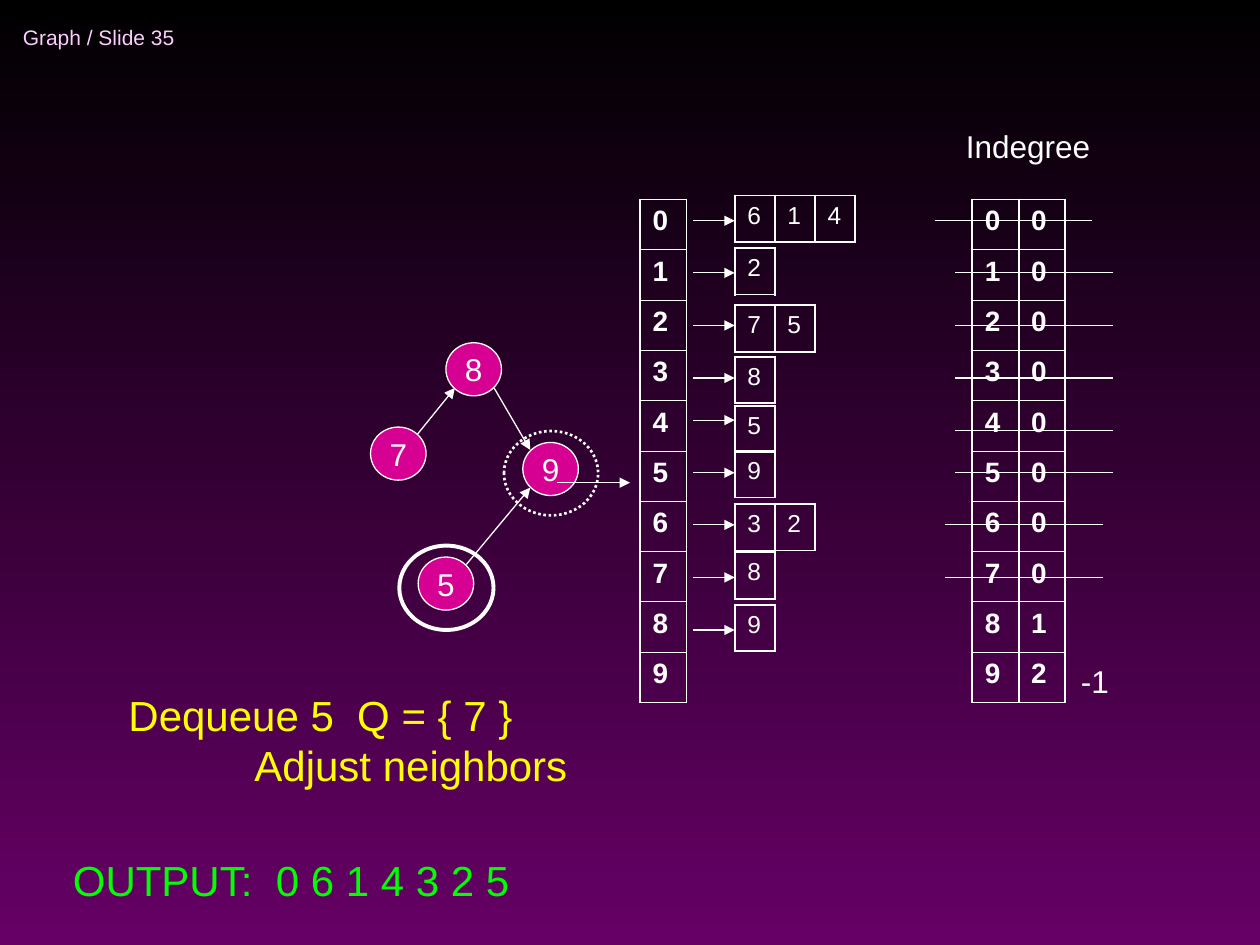
from typing import NamedTuple

from lxml.etree import SubElement
from pptx import Presentation
from pptx.dml.color import RGBColor
from pptx.enum.dml import MSO_LINE
from pptx.enum.shapes import MSO_CONNECTOR, MSO_SHAPE
from pptx.enum.text import MSO_ANCHOR, PP_ALIGN
from pptx.oxml.ns import qn
from pptx.util import Cm, Pt

WHITE = RGBColor(0xFF, 0xFF, 0xFF)
BLACK = RGBColor(0x00, 0x00, 0x00)
PURPLE = RGBColor(0x66, 0x00, 0x66)
PINK = RGBColor(0xD6, 0x00, 0x93)
PALE = RGBColor(0xFF, 0xCC, 0xFF)
YELLOW = RGBColor(0xFF, 0xFF, 0x00)
GREEN = RGBColor(0x00, 0xFF, 0x00)
FONT = "Arial"
THICK, THIN = 1.08, 0.45


class Node(NamedTuple):
    name: str
    x: float
    y: float


class Edge(NamedTuple):
    x1: float
    y1: float
    x2: float
    y2: float


class Ring(NamedTuple):
    x: float
    y: float
    width: float
    dash: MSO_LINE


class Adj(NamedTuple):
    """Neighbors of one vertex: cell values, top of the cells, height of the arrow."""
    cells: str
    top: float
    mid: float


class Strike(NamedTuple):
    x: float
    y: float


class Label(NamedTuple):
    lines: list
    box: tuple
    size: int
    color: RGBColor
    anchor: MSO_ANCHOR = MSO_ANCHOR.TOP


NODES = [Node("5", 8.43, 11.23), Node("7", 7.47, 8.61),
         Node("8", 8.99, 6.91), Node("9", 10.54, 8.92)]
EDGES = [Edge(9.4, 11.38, 10.69, 9.83), Edge(9.96, 7.82, 10.69, 9.07),
         Edge(8.41, 8.76, 9.17, 7.82)]
POINTER = Edge(11.23, 9.73, 12.7, 9.73)
RINGS = [Ring(10.16, 8.69, 1.5, MSO_LINE.ROUND_DOT),
         Ring(8.05, 11, 2.25, MSO_LINE.SOLID)]
ADJS = [Adj("614", 3.94, 4.45), Adj("2", 5, 5.5), Adj("75", 6.15, 6.56),
        Adj("8", 7.19, 7.62), Adj("5", 8.18, 8.47), Adj("9", 9.09, 9.53),
        Adj("32", 10.16, 10.58), Adj("8", 11.13, 11.64), Adj("9", 12.19, 12.7)]
STRIKES = [Strike(18.84, 4.45), Strike(19.26, 5.5), Strike(19.26, 6.56),
           Strike(19.26, 7.62), Strike(19.26, 8.68), Strike(19.26, 9.53),
           Strike(19.05, 10.58), Strike(19.05, 11.64)]
COLUMNS = [(12.9, "0123456789"), (19.6, "0123456789"), (20.53, "0000000012")]
# Each line of a label is a text and its left indent.
LABELS = [
    Label([("Graph / Slide 35", 0)], (0.21, 0.22, 6.99, 1.07), 12, PALE,
          MSO_ANCHOR.MIDDLE),
    Label([("Indegree", 0)], (19.22, 2.44, 3.2, 1.02), 18, WHITE),
    Label([("Dequeue 5  Q = { 7 }", 0), ("Adjust neighbors", 2.54)],
          (2.34, 13.77, 9.58, 3.3), 24, YELLOW),
    Label([("OUTPUT:  0 6 1 4 3 2 5", 0)], (1.22, 17.1, 10.64, 1.27), 24, GREEN),
    Label([("-1", 0)], (21.54, 13.23, 1.2, 1.02), 18, WHITE),
]


def add_run(para, text: str, size: float, color: RGBColor, bold=False) -> None:
    run = para.add_run()
    run.text = text
    font = run.font
    font.name, font.size, font.bold = FONT, Pt(size), bold
    font.color.rgb = color


def add_line(slide, edge: Edge, arrow=True) -> None:
    line = slide.shapes.add_connector(MSO_CONNECTOR.STRAIGHT, *map(Cm, edge))
    line.line.color.rgb = WHITE
    line.line.width = Pt(0.75)
    props = line.element.spPr
    if arrow:
        SubElement(props.find(qn("a:ln")), qn("a:tailEnd"), type="triangle")
    SubElement(props, qn("a:effectLst"))


def add_oval(slide, x: float, y: float, w: float, h: float, width: float):
    oval = slide.shapes.add_shape(MSO_SHAPE.OVAL, Cm(x), Cm(y), Cm(w), Cm(h))
    oval.shadow.inherit = False
    oval.line.color.rgb = WHITE
    oval.line.width = Pt(width)
    return oval


def add_node(slide, node: Node) -> None:
    oval = add_oval(slide, node.x, node.y, 1.12, 1.07, 0.75)
    oval.fill.solid()
    oval.fill.fore_color.rgb = PINK
    frame = oval.text_frame
    frame.word_wrap = False
    frame.vertical_anchor = MSO_ANCHOR.MIDDLE
    para = frame.paragraphs[0]
    para.alignment = PP_ALIGN.CENTER
    add_run(para, node.name, 18, WHITE)


def add_ring(slide, ring: Ring) -> None:
    oval = add_oval(slide, ring.x, ring.y, 1.9, 1.7, ring.width)
    oval.fill.background()
    oval.line.dash_style = ring.dash


def add_border(cell, side: str, width: float) -> None:
    props = cell._tc.get_or_add_tcPr()
    line = SubElement(props, qn(f"a:ln{side}"), w=str(Pt(width)))
    fill = SubElement(line, qn("a:solidFill"))
    SubElement(fill, qn("a:srgbClr"), val=str(WHITE))


def add_cells(slide, rows: list, box: tuple, size: int, bold=False) -> None:
    """Draw a clear table with thick outer edges and thin lines between rows."""
    table = slide.shapes.add_table(len(rows), len(rows[0]), *map(Cm, box)).table
    table.first_row = table.horz_banding = False
    last = len(rows) - 1
    for i, row in enumerate(rows):
        for j, text in enumerate(row):
            cell = table.cell(i, j)
            add_border(cell, "L", THICK)
            add_border(cell, "R", THICK)
            add_border(cell, "T", THICK if i == 0 else THIN)
            add_border(cell, "B", THICK if i == last else THIN)
            cell.fill.background()
            add_run(cell.text_frame.paragraphs[0], text, size, WHITE, bold)


def add_label(slide, label: Label) -> None:
    frame = slide.shapes.add_textbox(*map(Cm, label.box)).text_frame
    frame.word_wrap = False
    frame.vertical_anchor = label.anchor
    for i, (text, indent) in enumerate(label.lines):
        para = frame.add_paragraph() if i else frame.paragraphs[0]
        if indent:
            para._p.get_or_add_pPr().set("marL", str(Cm(indent)))
        add_run(para, text, label.size, label.color)


def set_back(slide) -> None:
    fill = slide.background.fill
    fill.gradient()
    fill.gradient_angle = 270
    for stop, color in zip(fill.gradient_stops, (BLACK, PURPLE)):
        stop.color.rgb = color


def main() -> None:
    deck = Presentation()
    deck.slide_width, deck.slide_height = Cm(25.4), Cm(19.05)
    slide = deck.slides.add_slide(deck.slide_layouts[6])
    set_back(slide)
    for node in NODES:
        add_node(slide, node)
    for edge in EDGES:
        add_line(slide, edge)
    for x, digits in COLUMNS:
        add_cells(slide, list(digits), (x, 4.02, 0.94, 10.14), 16, True)
    for adj in ADJS:
        add_line(slide, Edge(13.97, adj.mid, 14.81, adj.mid))
        box = (14.81, adj.top, 0.81 * len(adj.cells), 0.94)
        add_cells(slide, [adj.cells], box, 14)
    for label in LABELS:
        add_label(slide, label)
    for x, y in STRIKES:
        add_line(slide, Edge(x, y, x + 3.18, y), arrow=False)
    add_line(slide, POINTER)
    for ring in RINGS:
        add_ring(slide, ring)
    deck.save("out.pptx")


if __name__ == "__main__":
    main()
